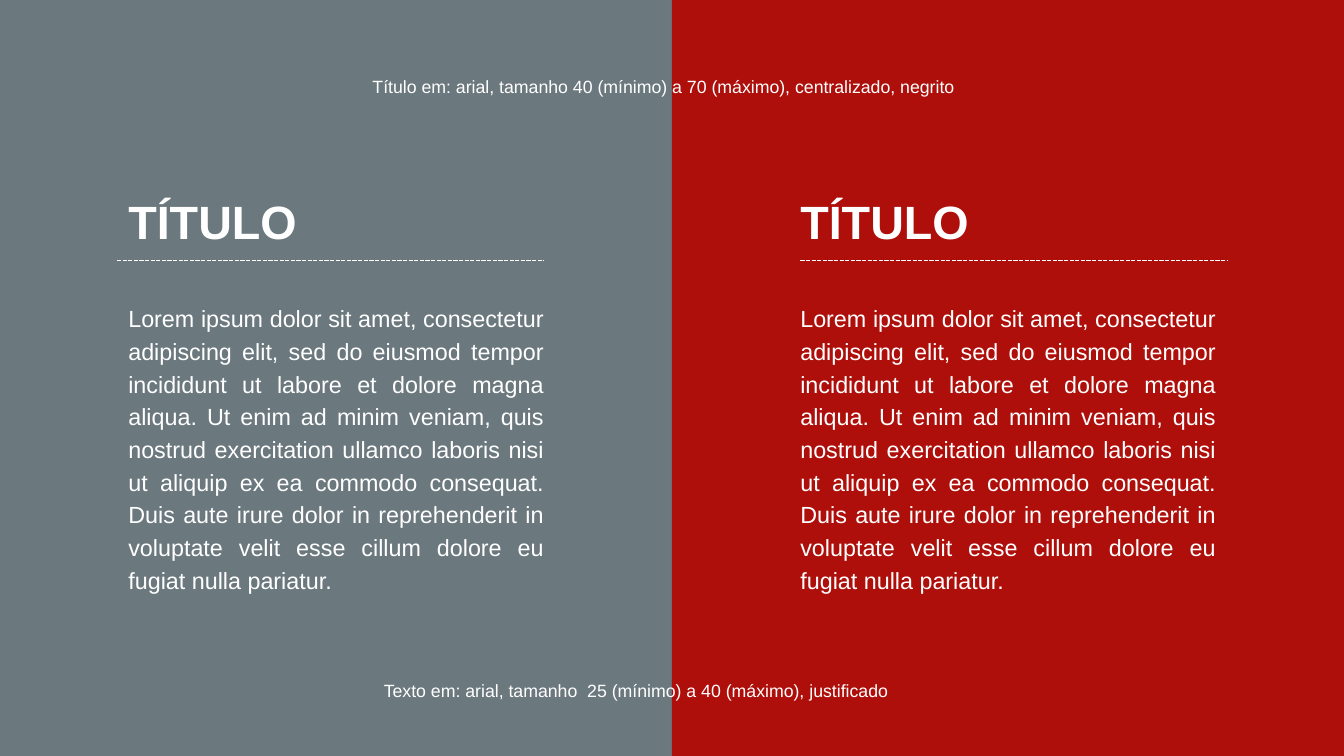
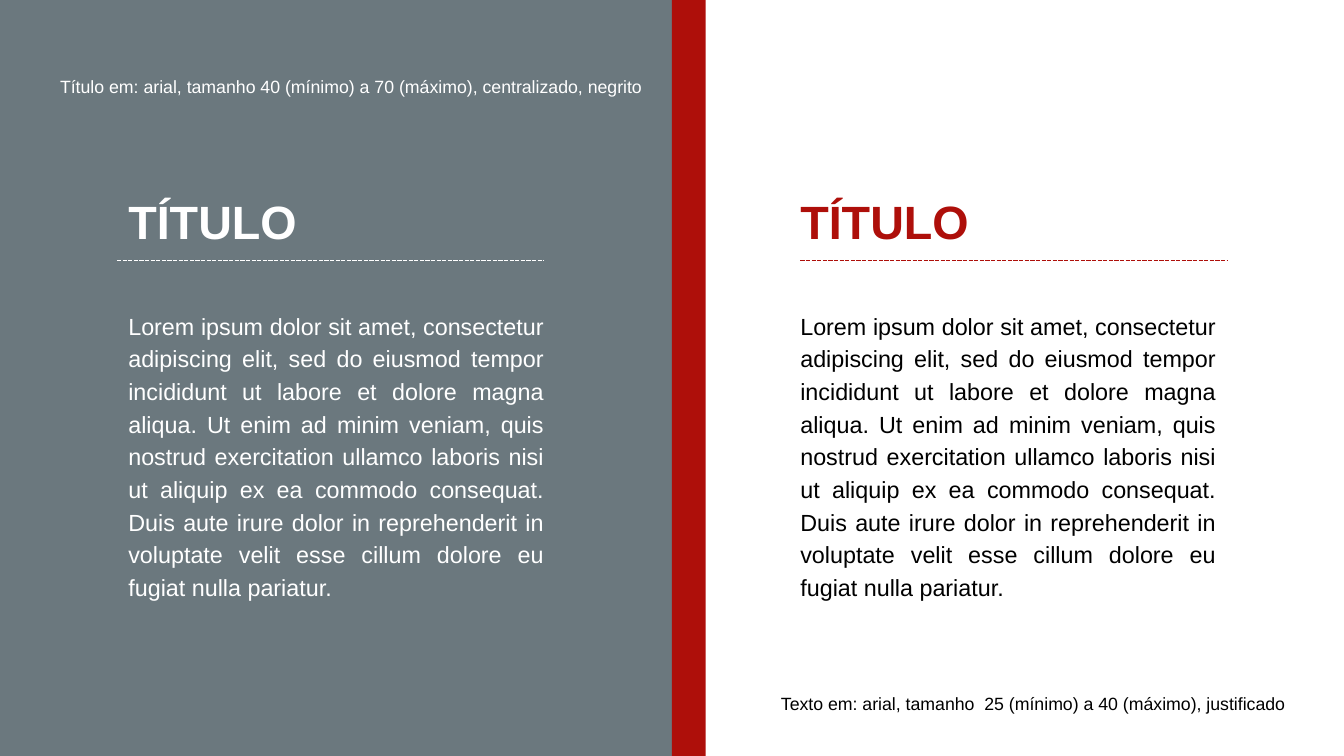
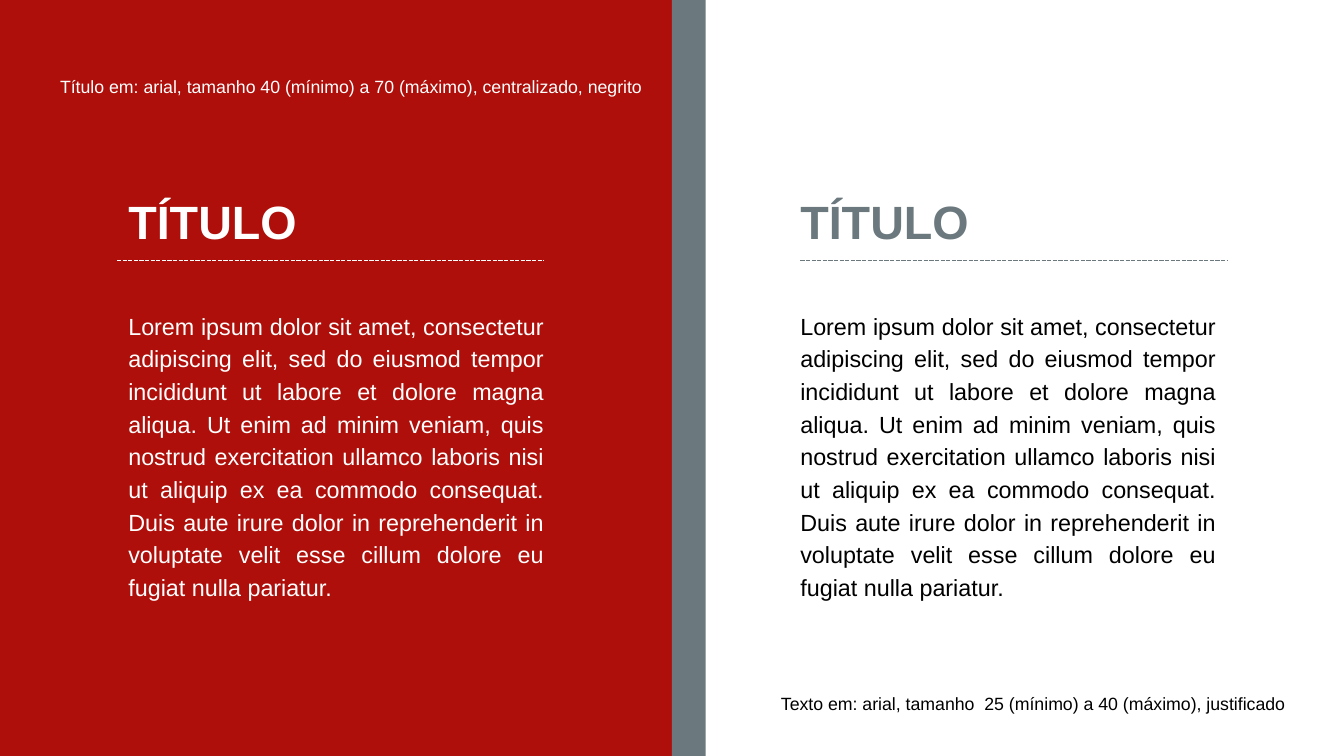
import pptx
import pptx.dml.color
import pptx.enum.dml
import pptx.enum.shapes
import pptx.enum.text
import pptx.util
from dataclasses import dataclass

PX = 9144
ALIGN = pptx.enum.text.PP_ALIGN


@dataclass(frozen=True)
class Theme:
    font: str = "Arial"
    gray: str = "6B787E"
    red: str = "AE0F0A"
    white: str = "FFFFFF"
    black: str = "000000"
    title: int = 50
    body: int = 25
    note: int = 19


theme = Theme()
rgb = pptx.dml.color.RGBColor.from_string

TITLE = "TÍTULO"
BODY = (
    "Lorem ipsum dolor sit amet, consectetur adipiscing elit, sed do eiusmod tempor "
    "incididunt ut labore et dolore magna aliqua. Ut enim ad minim veniam, quis nostrud "
    "exercitation ullamco laboris nisi ut aliquip ex ea commodo consequat. Duis aute irure "
    "dolor in reprehenderit in voluptate velit esse cillum dolore eu fugiat nulla pariatur."
)
TITLE_NOTE = "Título em: arial, tamanho 40 (mínimo) a 70 (máximo), centralizado, negrito"
BODY_NOTE = "Texto em: arial, tamanho  25 (mínimo) a 40 (máximo), justificado"


def px(*lengths):
    return [pptx.util.Emu(length * PX) for length in lengths]


def add_text(page, text, *, at, size, color, align, bold=False):
    box = page.shapes.add_textbox(*px(*at))
    frame = box.text_frame
    frame.word_wrap = True
    frame.auto_size = pptx.enum.text.MSO_AUTO_SIZE.SHAPE_TO_FIT_TEXT
    frame.margin_left = frame.margin_right = frame.margin_top = frame.margin_bottom = 0
    para = frame.paragraphs[0]
    para.alignment = align
    para.line_spacing = pptx.util.Pt(size * 1.4)
    span = para.add_run()
    span.text = text
    span.font.name = theme.font
    span.font.size = pptx.util.Pt(size)
    span.font.bold = bold
    span.font.color.rgb = rgb(color)


deck = pptx.Presentation()
deck.slide_width, deck.slide_height = px(2000, 1125)

pages = [
    dict(panels=(theme.gray, theme.red), band=1000, right_title=theme.white,
         right_body=theme.white, body_at=(446, 431),
         title_note=(548, 107), body_note=(507, 1007)),
    dict(panels=(theme.gray, theme.red), band=50, right_title=theme.red,
         right_body=theme.black, body_at=(457, 437),
         title_note=(83, 107), body_note=(1098, 1025)),
    dict(panels=(theme.red, theme.gray), band=50, right_title=theme.gray,
         right_body=theme.black, body_at=(457, 437),
         title_note=(83, 107), body_note=(1098, 1025)),
]

for design in pages:
    page = deck.slides.add_slide(deck.slide_layouts[6])

    for left, width, color in zip((0, 1000), (1000, design["band"]), design["panels"]):
        panel = page.shapes.add_shape(
            pptx.enum.shapes.MSO_SHAPE.RECTANGLE, *px(left, 0, width, 1125))
        panel.shadow.inherit = False
        panel.fill.solid()
        panel.fill.fore_color.rgb = rgb(color)
        panel.line.fill.background()

    columns = [
        (191, 174, theme.white, theme.white, ALIGN.JUSTIFY),
        (1191, 1191, design["right_title"], design["right_body"], ALIGN.LEFT),
    ]
    for left, rule_left, title_color, body_color, title_align in columns:
        add_text(page, TITLE, at=(left, 273, 605, 90), size=theme.title,
                 color=title_color, align=title_align, bold=True)
        body_top, body_height = design["body_at"]
        add_text(page, BODY, at=(left, body_top, 618, body_height), size=theme.body,
                 color=body_color, align=ALIGN.JUSTIFY)
        rule = page.shapes.add_connector(
            pptx.enum.shapes.MSO_CONNECTOR.STRAIGHT,
            *px(rule_left, 388, rule_left + 635, 388))
        rule.line.color.rgb = rgb(title_color)
        rule.line.width = pptx.util.Pt(1.5)
        rule.line.dash_style = pptx.enum.dml.MSO_LINE.SQUARE_DOT
        rule._element.spPr.append(pptx.oxml.xmlchemy.OxmlElement("a:effectLst"))

    add_text(page, TITLE_NOTE, at=(*design["title_note"], 879, 36), size=theme.note,
             color=theme.white, align=ALIGN.CENTER)
    add_text(page, BODY_NOTE, at=(*design["body_note"], 879, 36), size=theme.note,
             color=design["right_body"], align=ALIGN.CENTER)

deck.save("out.pptx")
